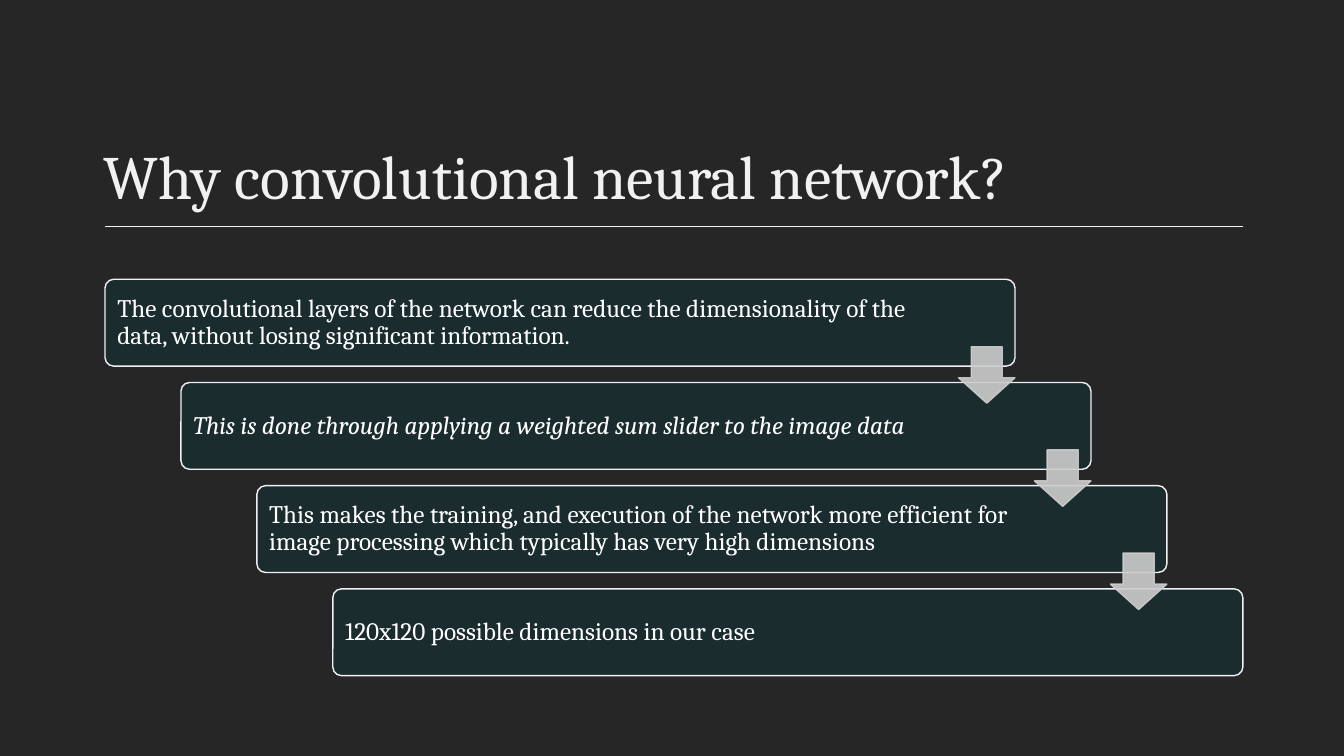
from lxml.etree import SubElement
from pptx import Presentation
from pptx.dml.color import RGBColor
from pptx.enum.shapes import MSO_CONNECTOR, MSO_SHAPE
from pptx.enum.text import MSO_ANCHOR, PP_ALIGN
from pptx.oxml.ns import qn
from pptx.util import Pt

COLORS = {
    "background": "262626",
    "light": "F2F0F3",
    "card": "1B2C2F",
    "card_text": "FFFFFF",
    "arrow": "CDCDCD",
}
FONT = "Cambria"

# Text, italic, right inset
STEPS = [
    ("The convolutional layers of the network can reduce the dimensionality "
     "of the data, without losing significant information.", False, 75),
    ("This is done through applying a weighted sum slider to the image data",
     True, 102),
    ("This makes the training, and execution of the network more efficient "
     "for image processing which typically has very high dimensions",
     False, 100),
    ("120x120 possible dimensions in our case", False, 102),
]
CARD_LEFT, CARD_TOP = 75, 199.5
CARD_WIDTH, CARD_HEIGHT = 650, 62
STEP_RIGHT, STEP_DOWN = 54.25, 73.7
ARROW_SIZE = 40.3
ARROW_DROP = 48.2


def color(name):
    return RGBColor.from_string(COLORS[name])


def add_run(paragraph, text, size, color_name, italic=False):
    run = paragraph.add_run()
    run.text = text
    run.font.name = FONT
    run.font.size = Pt(size)
    run.font.italic = italic
    run.font.color.rgb = color(color_name)


def add_title(slide, text):
    title = slide.shapes.add_textbox(Pt(67), Pt(69), Pt(821), Pt(86))
    frame = title.text_frame
    frame.word_wrap = True
    frame.vertical_anchor = MSO_ANCHOR.BOTTOM
    add_run(frame.paragraphs[0], text, 44, "light")


def add_rule(slide):
    rule = slide.shapes.add_connector(
        MSO_CONNECTOR.STRAIGHT, Pt(888), Pt(162), Pt(75), Pt(162))
    rule.line.color.rgb = color("light")
    rule.line.width = Pt(0.85)
    SubElement(rule._element.spPr, qn("a:effectLst"))


def add_filled_shape(slide, kind, box, adjustments, fill, outline):
    shape = slide.shapes.add_shape(kind, *[Pt(length) for length in box])
    shape.shadow.inherit = False
    for index, value in enumerate(adjustments):
        shape.adjustments[index] = value
    shape.fill.solid()
    shape.fill.fore_color.rgb = color(fill)
    shape.line.color.rgb = color(outline)
    shape.line.width = Pt(1)
    return shape


def add_card(slide, left, top, text, italic, right_inset):
    card = add_filled_shape(
        slide, MSO_SHAPE.ROUNDED_RECTANGLE,
        (left, top, CARD_WIDTH, CARD_HEIGHT), [0.1], "card", "light")
    frame = card.text_frame
    frame.word_wrap = True
    frame.vertical_anchor = MSO_ANCHOR.MIDDLE
    frame.margin_left = Pt(7)
    frame.margin_right = Pt(right_inset)
    frame.margin_top = frame.margin_bottom = Pt(5)
    paragraph = frame.paragraphs[0]
    paragraph.alignment = PP_ALIGN.LEFT
    paragraph.line_spacing = 0.9
    add_run(paragraph, text, 18, "card_text", italic)


def add_arrow(slide, left, top):
    arrow = add_filled_shape(
        slide, MSO_SHAPE.DOWN_ARROW, (left, top, ARROW_SIZE, ARROW_SIZE),
        [0.55, 0.45], "arrow", "arrow")
    for rgb in arrow._element.spPr.iter(qn("a:srgbClr")):
        SubElement(rgb, qn("a:alpha"), val="90000")


def main():
    presentation = Presentation()
    presentation.slide_width = Pt(960)
    presentation.slide_height = Pt(540)
    slide = presentation.slides.add_slide(presentation.slide_layouts[6])
    slide.background.fill.solid()
    slide.background.fill.fore_color.rgb = color("background")

    add_title(slide, "Why convolutional neural network?")
    add_rule(slide)
    corners = [(CARD_LEFT + i * STEP_RIGHT, CARD_TOP + i * STEP_DOWN)
               for i in range(len(STEPS))]
    for (left, top), step in zip(corners, STEPS):
        add_card(slide, left, top, *step)
    for left, top in corners[:-1]:
        add_arrow(slide, left + CARD_WIDTH - ARROW_SIZE, top + ARROW_DROP)

    presentation.save("out.pptx")


if __name__ == "__main__":
    main()
